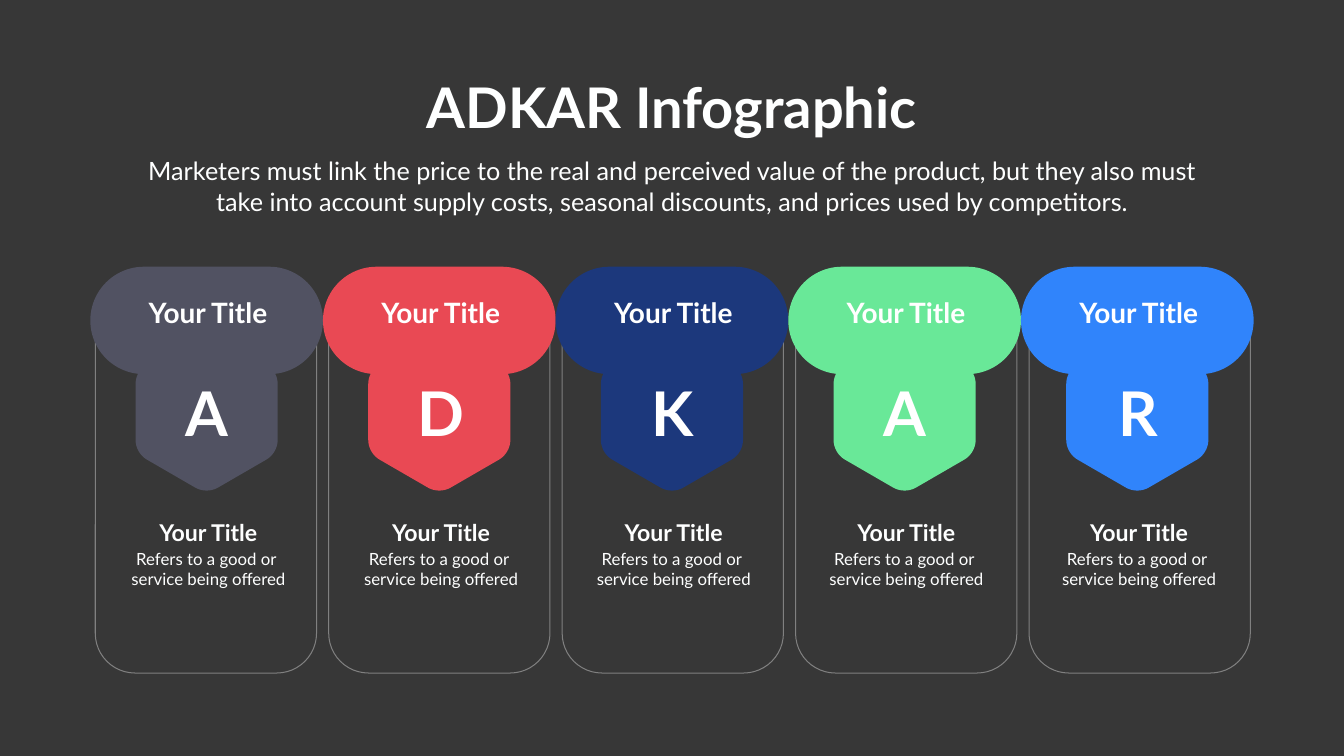
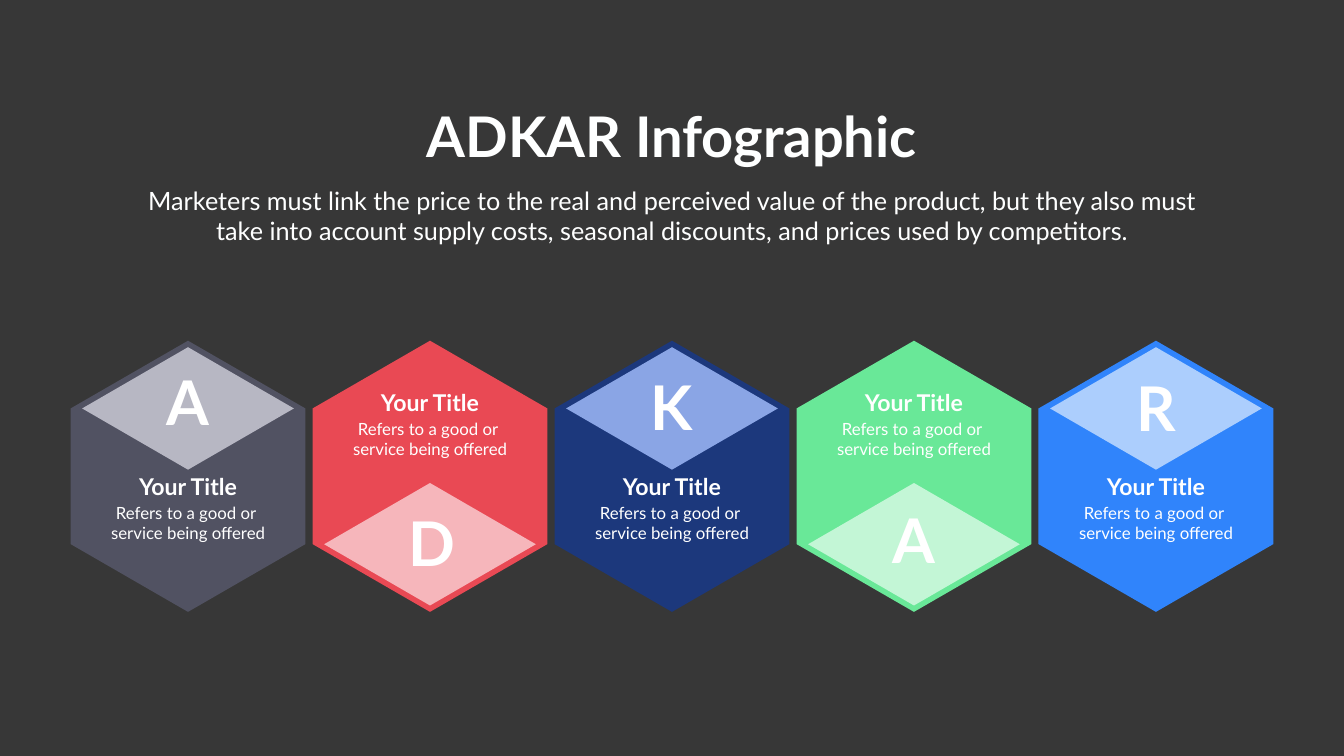
import dataclasses
import typing

import pptx
import pptx.dml.color
import pptx.enum.shapes
import pptx.enum.text
import pptx.util

Pt = pptx.util.Pt
Kind = pptx.enum.shapes.MSO_SHAPE
Point = tuple[float, float]


@dataclasses.dataclass(frozen=True)
class Theme:
    font: str = "Lato"
    back: str = "373737"
    ink: str = "FEFFFF"
    white: str = "FFFFFF"
    edge: str = "808080"
    head: float = 80
    lead: float = 36
    label: float = 40
    letter: float = 88
    title: float = 33
    body: float = 24


@dataclasses.dataclass(frozen=True)
class Step:
    letter: str
    fill: str
    tint: str
    tall: float


@dataclasses.dataclass(frozen=True)
class Box:
    left: float
    top: float
    width: float
    height: float

    @classmethod
    def around(cls, mid: float, top: float, width: float, height: float) -> "Box":
        return cls(mid - width / 2, top, width, height)

    def place(self) -> list[pptx.util.Length]:
        return [Pt(v) for v in (self.left, self.top, self.width, self.height)]


THEME = Theme()
WIDE, HIGH = 1919.52, 1080
HEAD = "ADKAR Infographic"
LEAD = (
    "Marketers must link the price to the real and perceived value of the product, "
    "but they also must take into account supply costs, seasonal discounts, "
    "and prices used by competitors."
)
LABEL = "Your Title"
BODY = ["Refers to a good or ", "service being offered"]
STEPS = [
    Step("A", "515262", "B7B7C3", 517),
    Step("D", "E94954", "F6B6BB", 718),
    Step("K", "1C387C", "8AA5E5", 524),
    Step("A", "69E898", "C3F6D6", 714),
    Step("R", "3084FB", "ACCEFD", 525.6),
]


def color(code: str) -> pptx.dml.color.RGBColor:
    return pptx.dml.color.RGBColor.from_string(code)


def paint(shape: typing.Any, fill: str | None = None, line: str | None = None) -> None:
    shape.shadow.inherit = False
    if fill:
        shape.fill.solid()
        shape.fill.fore_color.rgb = color(fill)
    else:
        shape.fill.background()
    if line:
        shape.line.color.rgb = color(line)
        shape.line.width = Pt(1.45)
    else:
        shape.line.fill.background()


def preset(slide: typing.Any, kind: typing.Any, box: Box, adjust: tuple[float, ...] = (),
           **look: str) -> None:
    shape = slide.shapes.add_shape(kind, *box.place())
    for spot, value in enumerate(adjust):
        shape.adjustments[spot] = value
    paint(shape, **look)


def write(slide: typing.Any, box: Box, text: str | list[str], *, size: float,
          tone: str = THEME.white, bold: bool = False, wrap: bool = True) -> None:
    frame = slide.shapes.add_textbox(*box.place()).text_frame
    frame.word_wrap = wrap
    frame.auto_size = pptx.enum.text.MSO_AUTO_SIZE.SHAPE_TO_FIT_TEXT
    lines = [text] if isinstance(text, str) else text
    for spot, line in enumerate(lines):
        para = frame.add_paragraph() if spot else frame.paragraphs[0]
        para.alignment = pptx.enum.text.PP_ALIGN.CENTER
        run = para.add_run()
        run.text = line
        run.font.name = THEME.font
        run.font.size = Pt(size)
        run.font.bold = bold
        run.font.color.rgb = color(tone)


def toward(start: Point, end: Point, span: float) -> Point:
    dx, dy = end[0] - start[0], end[1] - start[1]
    ratio = span / (dx * dx + dy * dy) ** 0.5
    return start[0] + dx * ratio, start[1] + dy * ratio


def bend(prior: Point, tip: Point, after: Point, cut: float) -> list[Point]:
    hold = 0.39 * cut
    knots = [toward(tip, prior, cut), toward(tip, prior, hold),
             toward(tip, after, hold), toward(tip, after, cut)]
    curve = []
    for count in range(13):
        t = count / 12
        parts = ((1 - t) ** 3, 3 * t * (1 - t) ** 2, 3 * t * t * (1 - t), t ** 3)
        curve.append((sum(p * k[0] for p, k in zip(parts, knots)),
                      sum(p * k[1] for p, k in zip(parts, knots))))
    return curve


def hexagon(slide: typing.Any, box: Box, fill: str, cut: float = 0) -> None:
    right, base = box.left + box.width, box.top + box.height
    mid, rise = box.left + box.width / 2, box.height / 4
    points = [(mid, box.top), (right, box.top + rise), (right, base - rise),
              (mid, base), (box.left, base - rise), (box.left, box.top + rise)]
    if cut:
        ring = zip(points[-1:] + points[:-1], points, points[1:] + points[:1])
        points = [dot for trio in ring for dot in bend(*trio, cut)]
    first, *rest = [(Pt(x), Pt(y)) for x, y in points]
    maker = slide.shapes.build_freeform(*first)
    maker.add_line_segments(rest, close=True)
    paint(maker.convert_to_shape(), fill)


def start(deck: typing.Any) -> typing.Any:
    slide = deck.slides.add_slide(deck.slide_layouts[6])
    slide.background.fill.solid()
    slide.background.fill.fore_color.rgb = color(THEME.back)
    return slide


def header(slide: typing.Any, top: float) -> None:
    mid = WIDE / 2
    write(slide, Box.around(mid, top, 730, 104), HEAD, size=THEME.head,
          tone=THEME.ink, bold=True, wrap=False)
    write(slide, Box.around(mid, top + 119, 1533.6, 94), LEAD, size=THEME.lead,
          tone=THEME.ink)


def letter(slide: typing.Any, mid: float, top: float, text: str) -> None:
    write(slide, Box.around(mid, top, 77, 114), text, size=THEME.letter,
          bold=True, wrap=False)


def caption(slide: typing.Any, mid: float, top: float, tone: str) -> None:
    write(slide, Box.around(mid, top, 165.6, 47.5), LABEL, size=THEME.title,
          tone=tone, bold=True)
    write(slide, Box.around(mid, top + 43, 253.4, 65.5), BODY, size=THEME.body, tone=tone)


def badges(deck: typing.Any) -> None:
    slide = start(deck)
    pitch = 332.3
    mids = [295.1 + pitch * spot for spot in range(len(STEPS))]
    for spot in range(len(STEPS)):
        card = Box(136.1 + 333.4 * spot, 483, 316, 478.5)
        preset(slide, Kind.ROUND_2_SAME_RECTANGLE, card, (0, 0.18), line=THEME.edge)
    for mid, step in zip(mids, STEPS):
        preset(slide, Kind.ROUNDED_RECTANGLE, Box.around(mid, 381, pitch, 153.5),
               (0.5,), fill=step.fill)
        hexagon(slide, Box.around(mid, 471, 203, 235), step.fill, 19)
    header(slide, 100)
    for mid, step in zip(mids, STEPS):
        write(slide, Box.around(mid + 2, 418, 194.4, 55.5), LABEL,
              size=THEME.label, bold=True)
        letter(slide, mid + 1, 532, step.letter)
        caption(slide, mid + 2.5, 737.3, THEME.ink)


def tiles(deck: typing.Any) -> None:
    slide = start(deck)
    header(slide, 142)
    for spot, step in enumerate(STEPS):
        mid = 268.56 + 345.6 * spot
        low = spot % 2 == 1
        hexagon(slide, Box.around(mid, 486.7, 335.5, 387.4), step.fill)
        preset(slide, Kind.DIAMOND, Box.around(mid, 690 if low else 496, 302.4, 175),
               fill=step.tint)
        letter(slide, mid, step.tall, step.letter)
        caption(slide, mid, 551.5 if low else 671, THEME.white)


def main() -> None:
    deck = pptx.Presentation()
    deck.slide_width, deck.slide_height = Pt(WIDE), Pt(HIGH)
    badges(deck)
    tiles(deck)
    deck.save("out.pptx")


if __name__ == "__main__":
    main()
